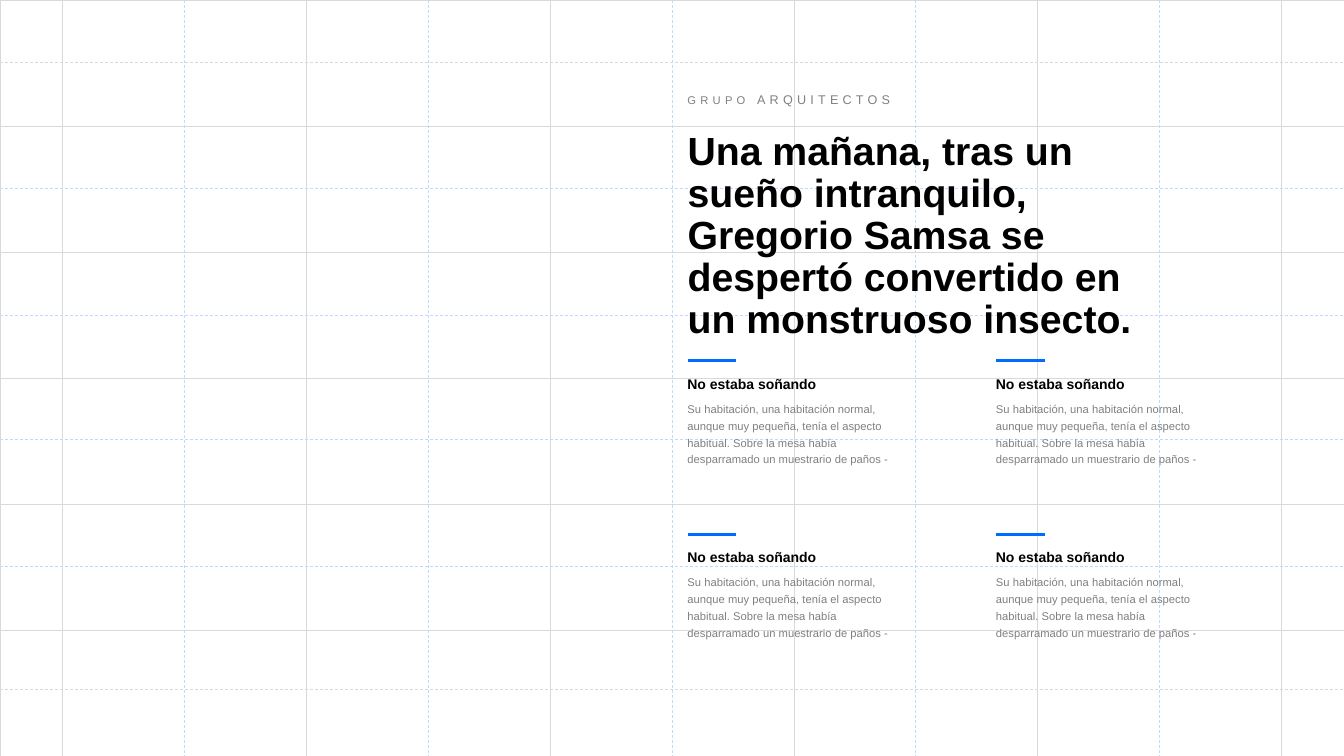
from pptx import Presentation
from pptx.dml.color import RGBColor
from pptx.enum.dml import MSO_LINE_DASH_STYLE as DASH
from pptx.enum.shapes import MSO_CONNECTOR, MSO_SHAPE
from pptx.enum.text import MSO_ANCHOR, MSO_AUTO_SIZE, PP_ALIGN
from pptx.oxml.ns import qn
from pptx.util import Inches, Pt
from lxml import etree

# Content
TITLE = ("Una mañana, tras un sueño intranquilo, Gregorio Samsa se despertó "
         "convertido en un monstruoso insecto.")
STUDIO = [("GRUPO ", 8), ("ARQUITECTOS", 9)]
CARD = ("No estaba soñando",
        "Su habitación, una habitación normal, aunque muy pequeña, tenía el "
        "aspecto habitual. Sobre la mesa había desparramado un muestrario de "
        "paños -")
CARDS = [[CARD, CARD], [CARD, CARD]]

# Style
BLACK = RGBColor(0x00, 0x00, 0x00)
GREY = RGBColor(0x80, 0x80, 0x80)
BLUE = RGBColor(0x00, 0x6B, 0xFF)
GRID_GREY = RGBColor(0xD9, 0xD9, 0xD9)
GRID_BLUE = RGBColor(0xC0, 0xD9, 0xFE)
FONT = "Arial"

# Layout, in inches
WIDTH, HEIGHT = 13.33, 7.5
MARGIN, ROW_H = 0.62, 1.25
COL_W = (WIDTH - 2 * MARGIN) / 5
ROWS = [(1, GRID_GREY), (4, GRID_BLUE), (5, GRID_GREY), (2, GRID_GREY),
        (3, GRID_GREY)]
COLUMNS = [1, 2, 0, 3, 4]
DASHED_ROWS = [(0.62, GRID_GREY), (1.87, GRID_BLUE), (3.13, GRID_BLUE),
               (4.36, GRID_BLUE), (5.62, GRID_BLUE), (6.84, GRID_GREY)]
TEXT_X, INSET = 6.72, 0.1
CARD_COLS = [(TEXT_X, 1.54, 2.35), (9.78, 1.7, 2.26)]
CARD_Y, CARD_STEP = 3.58, 1.72

prs = Presentation()
prs.slide_width, prs.slide_height = Inches(WIDTH), Inches(HEIGHT)
slide = prs.slides.add_slide(prs.slide_layouts[5])


def add_frame(x, y, w, h, color=GRID_GREY):
    sp = slide.shapes.add_shape(MSO_SHAPE.RECTANGLE, Inches(x), Inches(y),
                                Inches(w), Inches(h))
    sp.shadow.inherit = False
    sp.fill.background()
    sp.line.color.rgb = color
    sp.line.width = Pt(0.25)


def add_line(x1, y1, x2, y2, color, width, dash=None):
    line = slide.shapes.add_connector(MSO_CONNECTOR.STRAIGHT, Inches(x1),
                                      Inches(y1), Inches(x2), Inches(y2))
    line.line.color.rgb = color
    line.line.width = Pt(width)
    if dash:
        line.line.dash_style = dash
    etree.SubElement(line._element.spPr, qn("a:effectLst"))


def write(sp, runs, color, bold=False, spacing=None, align=PP_ALIGN.LEFT):
    tf = sp.text_frame
    tf.word_wrap = True
    tf.auto_size = MSO_AUTO_SIZE.SHAPE_TO_FIT_TEXT
    tf.vertical_anchor = MSO_ANCHOR.TOP
    p = tf.paragraphs[0]
    p.alignment = align
    p.space_before = Pt(0)
    if spacing:
        p.line_spacing = spacing
    for text, size in runs:
        r = p.add_run()
        r.text = text
        r.font.name, r.font.size, r.font.bold = FONT, Pt(size), bold
        r.font.color.rgb = color
    return p


def add_text(x, y, w, h, *args, **kwargs):
    box = slide.shapes.add_textbox(Inches(x), Inches(y), Inches(w), Inches(h))
    return write(box, *args, **kwargs)


# Background grid: rows, then columns
for row, color in ROWS:
    add_frame(0, row * ROW_H, WIDTH, ROW_H, color)
for y, color in DASHED_ROWS:
    add_line(0, y, WIDTH, y, color, 0.5, DASH.DASH)
for x in (0, WIDTH - MARGIN):
    add_frame(x, 0, MARGIN, HEIGHT)
for col in COLUMNS:
    add_frame(MARGIN + col * COL_W, 0, COL_W, HEIGHT)
for col in range(5):
    x = MARGIN + (col + 0.5) * COL_W
    add_line(x, 0, x, HEIGHT, GRID_BLUE, 0.5, DASH.DASH)

# Title, brought in front of the grid
title = slide.shapes.title
title.left, title.top = Inches(TEXT_X), Inches(1.25)
title.width, title.height = Inches(5.04), Inches(1.78)
slide.shapes._spTree.append(title._element)
write(title, [(TITLE, 28)], BLACK, bold=True, spacing=Pt(30))

# Studio name with wide tracking
p = add_text(TEXT_X, 0.86, 2.35, 0.25, STUDIO, GREY)
for r in p.runs:
    r.font._element.set("spc", "300")

# Cards
for i, row in enumerate(CARDS):
    y = CARD_Y + i * CARD_STEP
    for (x, head_w, body_w), (head, body) in zip(CARD_COLS, row):
        add_text(x, y + 0.01, head_w, 0.35, [(head, 10)], BLACK, bold=True,
                 spacing=1.5, align=PP_ALIGN.JUSTIFY)
        add_text(x, y + 0.33, body_w, 0.77, [(body, 8)], GREY, spacing=Pt(12))
        add_line(x + INSET, y, x + INSET + 0.48, y, BLUE, 2.25)

prs.save("out.pptx")
